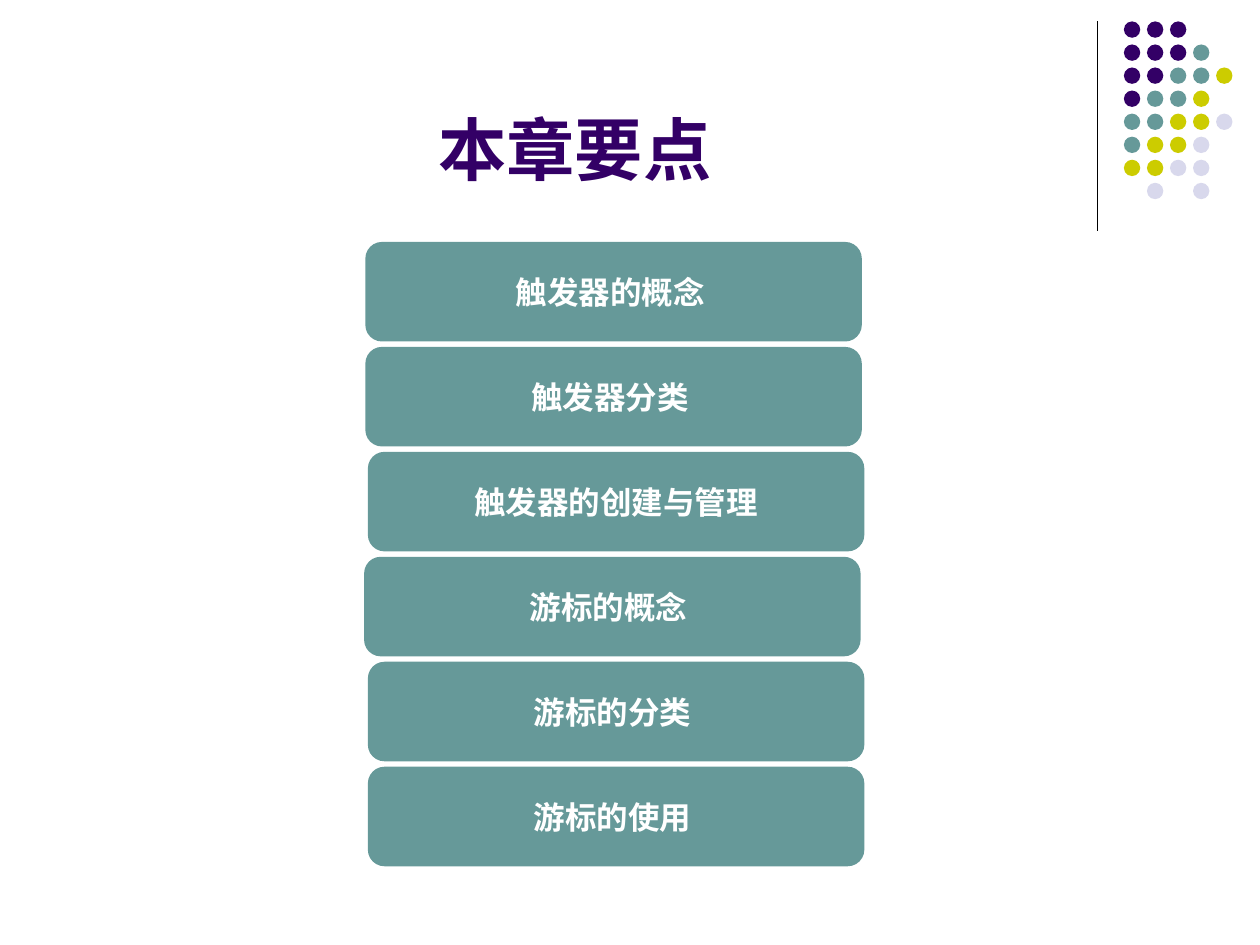
import pptx
import pptx.dml.color
import pptx.enum.shapes
import pptx.enum.text
import pptx.oxml.ns
import pptx.util
from lxml import etree

Inches = pptx.util.Inches
RGBColor = pptx.dml.color.RGBColor
ShapeKind = pptx.enum.shapes.MSO_SHAPE
Anchor = pptx.enum.text.MSO_ANCHOR

PURPLE = RGBColor(0x33, 0x00, 0x66)
TEAL = RGBColor(0x66, 0x99, 0x99)
OLIVE = RGBColor(0xCC, 0xCC, 0x00)
LAVENDER = RGBColor(0xD8, 0xD8, 0xEC)
WHITE = RGBColor(0xFF, 0xFF, 0xFF)
BLACK = RGBColor(0x00, 0x00, 0x00)

DOT_COLORS = {"P": PURPLE, "T": TEAL, "O": OLIVE, "L": LAVENDER}
DOT_ROWS = ["PPP", "PPPT", "PPTTO", "PTTO", "TTOOL", "TOOL", "OOLL", " L L"]
DOT_LEFT, DOT_TOP, DOT_PITCH, DOT_SIZE = 8.92, 0.17, 0.183, 0.13

TOPICS = [  # left edge and wording; the closing space shifts the centring
    (2.9, "触发器的概念 "),
    (2.9, "触发器分类 "),
    (2.92, "触发器的创建与管理"),
    (2.89, "游标的概念 "),
    (2.92, "游标的分类 "),
    (2.92, "游标的使用 "),
]
TOPIC_TOP, TOPIC_PITCH, TOPIC_WIDTH, TOPIC_HEIGHT = 1.92, 0.833, 3.94, 0.79


def add_filled_shape(page, kind, left, top, width, height, color):
    shape = page.shapes.add_shape(
        kind, Inches(left), Inches(top), Inches(width), Inches(height))
    shape.shadow.inherit = False
    shape.fill.solid()
    shape.fill.fore_color.rgb = color
    shape.line.fill.background()
    return shape


def write_centered(box, text, size, color, anchor, wrap):
    frame = box.text_frame
    frame.word_wrap = wrap
    frame.vertical_anchor = anchor
    para = frame.paragraphs[0]
    para.text = text
    para.alignment = pptx.enum.text.PP_ALIGN.CENTER
    para.font.name = "Arial"
    para.font.size = pptx.util.Pt(size)
    para.font.bold = True
    para.font.color.rgb = color


def add_rule(page, left, top, bottom):
    """Draw the thin vertical line beside the dots."""
    rule = page.shapes.add_connector(
        pptx.enum.shapes.MSO_CONNECTOR.STRAIGHT,
        Inches(left), Inches(top), Inches(left), Inches(bottom))
    rule.line.color.rgb = BLACK
    rule.line.width = pptx.util.Pt(0.75)
    properties = rule.element.find(pptx.oxml.ns.qn("p:spPr"))
    etree.SubElement(properties, pptx.oxml.ns.qn("a:effectLst"))


def add_dots(page):
    for row, letters in enumerate(DOT_ROWS):
        for column, letter in enumerate(letters):
            if letter in DOT_COLORS:
                add_filled_shape(
                    page, ShapeKind.OVAL,
                    DOT_LEFT + column * DOT_PITCH, DOT_TOP + row * DOT_PITCH,
                    DOT_SIZE, DOT_SIZE, DOT_COLORS[letter])


def add_title(page, text):
    box = page.shapes.add_textbox(
        Inches(0.5), Inches(0.13), Inches(8.25), Inches(1.42))
    write_centered(box, text, 39, PURPLE, Anchor.BOTTOM, True)


def add_topics(page):
    for row, (left, text) in enumerate(TOPICS):
        box = add_filled_shape(
            page, ShapeKind.FLOWCHART_ALTERNATE_PROCESS,
            left, TOPIC_TOP + row * TOPIC_PITCH,
            TOPIC_WIDTH, TOPIC_HEIGHT, TEAL)
        write_centered(box, text, 18, WHITE, Anchor.MIDDLE, False)


def main():
    deck = pptx.Presentation()
    deck.slide_width, deck.slide_height = Inches(10), Inches(7.5)
    page = deck.slides.add_slide(deck.slide_layouts[6])
    add_rule(page, 8.71, 0.17, 1.83)
    add_dots(page)
    add_title(page, "本章要点 ")
    add_topics(page)
    deck.save("out.pptx")


if __name__ == "__main__":
    main()
